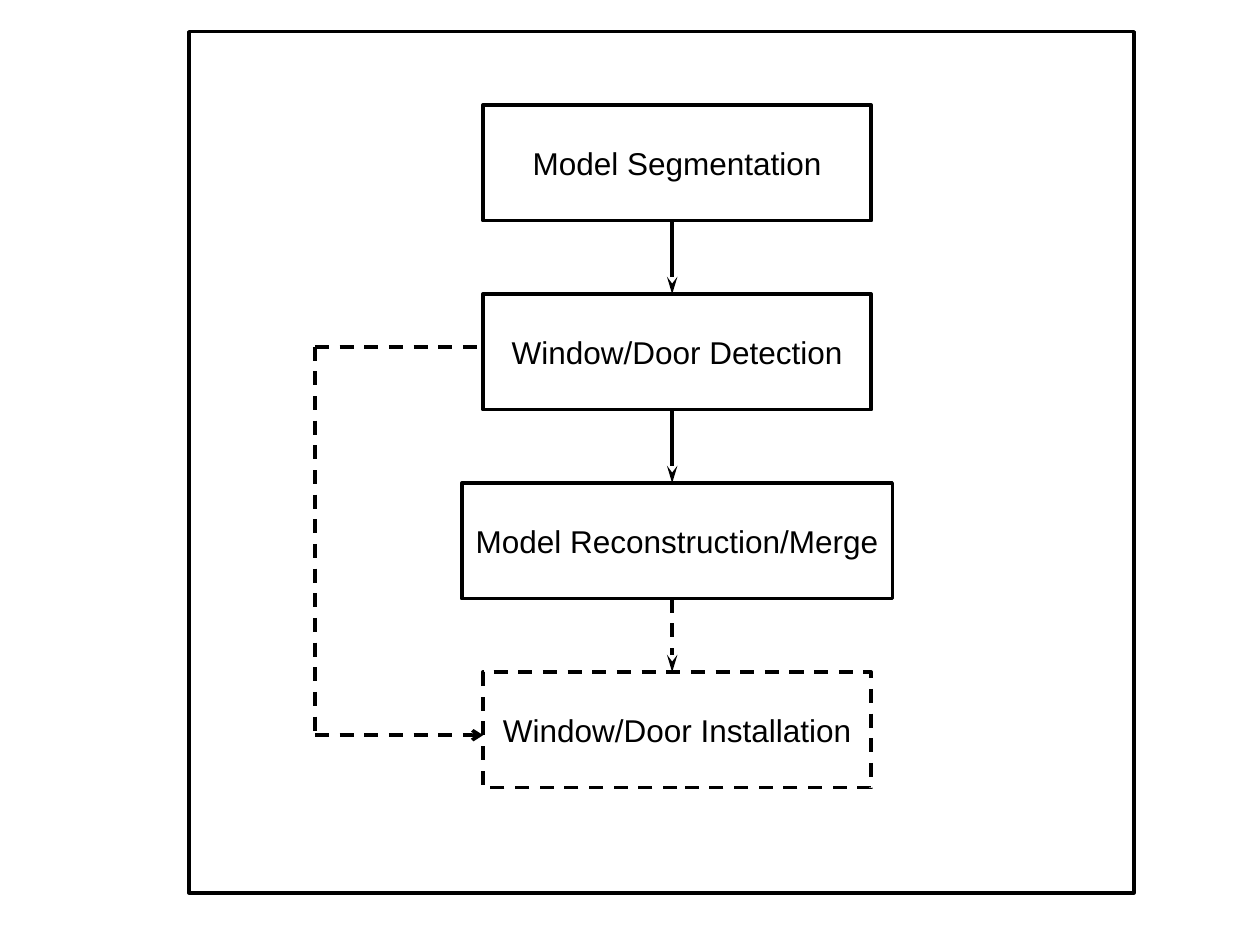
"""Build a flowchart slide of the window and door modelling steps."""
import pptx
import pptx.dml.color
import pptx.enum.dml
import pptx.enum.shapes
import pptx.enum.text
import pptx.oxml.ns
import pptx.util
from lxml import etree
from pptx.util import Cm

COLORS = {"ink": "000000"}
FONT = "Arial"
STEPS = [
    ("Model Segmentation", 7.83, False),
    ("Window/Door Detection", 7.83, False),
    ("Model Reconstruction/Merge", 8.68, False),
    ("Window/Door Installation", 7.83, True),
]
FRAME = (3.81, 0.64, 19.05, 17.36)
CENTER_X, FIRST_TOP, PITCH, BOX_H = 13.65, 2.12, 3.81, 2.33
ARROW_X = 13.55
BYPASS_X, BOX_LEFT, BYPASS_TOP, BYPASS_BOTTOM = 6.35, 9.74, 6.99, 14.82
BYPASS = [
    ((BYPASS_X, BYPASS_TOP), (BOX_LEFT, BYPASS_TOP), None),
    ((BYPASS_X, BYPASS_TOP), (BYPASS_X, BYPASS_BOTTOM), None),
    ((BYPASS_X, BYPASS_BOTTOM), (BOX_LEFT, BYPASS_BOTTOM), ("arrow", "med")),
]


def rgb(name):
    return pptx.dml.color.RGBColor.from_string(COLORS[name])


def style_line(line, dashed):
    line.color.rgb = rgb("ink")
    line.width = pptx.util.Pt(2)
    if dashed:
        line.dash_style = pptx.enum.dml.MSO_LINE.DASH


def add_rect(slide, x, y, w, h, dashed=False):
    sp = slide.shapes.add_shape(
        pptx.enum.shapes.MSO_SHAPE.RECTANGLE, Cm(x), Cm(y), Cm(w), Cm(h))
    sp.shadow.inherit = False
    sp.fill.background()
    style_line(sp.line, dashed)
    return sp


def add_step(slide, text, x, y, w, dashed):
    tf = add_rect(slide, x, y, w, BOX_H, dashed).text_frame
    tf.word_wrap = False
    tf.vertical_anchor = pptx.enum.text.MSO_ANCHOR.MIDDLE
    p = tf.paragraphs[0]
    p.alignment = pptx.enum.text.PP_ALIGN.CENTER
    r = p.add_run()
    r.text = text
    r.font.name = FONT
    r.font.size = pptx.util.Pt(18)
    r.font.color.rgb = rgb("ink")


def add_line(slide, start, end, dashed, head=None):
    cxn = slide.shapes.add_connector(
        pptx.enum.shapes.MSO_CONNECTOR.STRAIGHT, *map(Cm, start + end))
    style_line(cxn.line, dashed)
    qn = pptx.oxml.ns.qn
    if head:
        kind, length = head
        etree.SubElement(cxn.line._get_or_add_ln(), qn("a:tailEnd"),
                         type=kind, w="med", len=length)
    etree.SubElement(cxn._element.spPr, qn("a:effectLst"))


def main():
    prs = pptx.Presentation()
    prs.slide_width, prs.slide_height = Cm(25.4), Cm(19.05)
    s = prs.slides.add_slide(prs.slide_layouts[6])
    for i, (text, width, dashed) in enumerate(STEPS):
        top = FIRST_TOP + i * PITCH
        add_step(s, text, CENTER_X - width / 2, top, width, dashed)
        if i:
            add_line(s, (ARROW_X, top - PITCH + BOX_H), (ARROW_X, top),
                     dashed, ("stealth", "lg"))
    for start, end, head in BYPASS:
        add_line(s, start, end, True, head)
    add_rect(s, *FRAME)
    prs.save("out.pptx")


if __name__ == "__main__":
    main()
